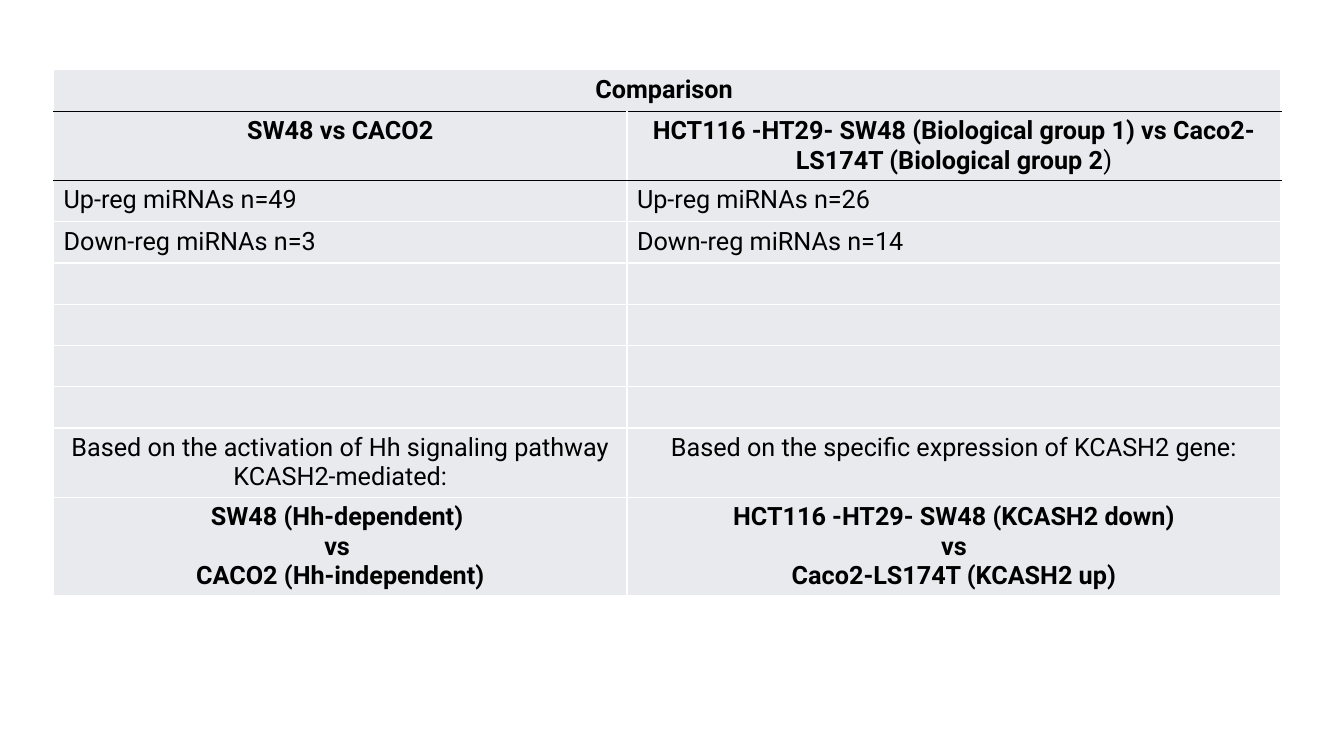
import pptx
import pptx.dml.color
import pptx.enum.text
import pptx.oxml
import pptx.oxml.ns
import pptx.util
from pptx.util import Cm

FONT = "Roboto"
COLUMNS = (14.45, 16.48)
ROW_HEIGHT = 1.04
ROWS = [
    ("Comparison ", ""),
    ("SW48 vs CACO2",
     "HCT116 -HT29- SW48 (Biological group 1) vs Caco2-LS174T (Biological group 2)"),
    ("Up-reg miRNAs n=49", "Up-reg miRNAs n=26"),
    ("Down-reg miRNAs n=3", "Down-reg miRNAs n=14"),
    *[("", "")] * 4,
    ("Based on the activation of Hh signaling pathway KCASH2-mediated:",
     "Based on the specific expression of KCASH2 gene:"),
    ("SW48 (Hh-dependent) \nvs \nCACO2 (Hh-independent)",
     "HCT116 -HT29- SW48 (KCASH2 down)\nvs\nCaco2-LS174T (KCASH2 up)"),
]
BOLD_ROWS = (0, 1, 9)
CENTRED_ROWS = (0, 1, 8, 9)
RULED_ROWS = (0, 1)


def rgb(value):
    """Return the colour for a hex string."""
    return pptx.dml.color.RGBColor.from_string(value)


def set_border(cell, side, colour):
    """Draw a one-point line on one side (L, R, T or B) of a cell."""
    ns = pptx.oxml.ns.nsdecls("a")
    line = pptx.oxml.parse_xml(
        f'<a:ln{side} {ns} w="12700"><a:solidFill>'
        f'<a:srgbClr val="{colour}"/></a:solidFill></a:ln{side}>')
    cell._tc.get_or_add_tcPr().append(line)


def style_run(r, bold):
    """Give a run the table's font."""
    r.font.name = FONT
    r.font.size = pptx.util.Pt(18)
    r.font.bold = bold
    r.font.color.rgb = rgb("000000")


def fill_cell(cell, text, row):
    """Write and format one cell according to its row."""
    for side in "LRTB":
        ruled = (side == "B" and row in RULED_ROWS
                 or side == "T" and row - 1 in RULED_ROWS)
        set_border(cell, side, "000000" if ruled else "FFFFFF")
    cell.fill.solid()
    cell.fill.fore_color.rgb = rgb("E8EAED")
    tf = cell.text_frame
    tf.text = text
    for p in tf.paragraphs:
        if row in CENTRED_ROWS:
            p.alignment = pptx.enum.text.PP_ALIGN.CENTER
        for r in p.runs:
            style_run(r, row in BOLD_ROWS)


def indent_line(p, width):
    """Shift a centred line left by half the given width."""
    p._p.get_or_add_pPr().set("indent", str(-Cm(width)))


def add_comparison(s, left, top):
    """Place the comparison table with its corner at the given point."""
    table = s.shapes.add_table(
        len(ROWS), len(COLUMNS), Cm(left), Cm(top),
        Cm(sum(COLUMNS)), Cm(ROW_HEIGHT * len(ROWS))).table
    table.first_row = False
    table.horz_banding = False
    for column, width in zip(table.columns, COLUMNS):
        column.width = Cm(width)
    for i, texts in enumerate(ROWS):
        table.rows[i].height = Cm(ROW_HEIGHT)
        for j, text in enumerate(texts):
            fill_cell(table.cell(i, j), text, i)
    table.cell(0, 0).merge(table.cell(0, 1))

    p = table.cell(1, 1).text_frame.paragraphs[0]
    p.runs[0].text = ROWS[1][1][:-1]
    r = p.add_run()
    r.text = ")"
    style_run(r, False)

    groups = table.cell(9, 1).text_frame.paragraphs
    indent_line(groups[0], 1.1)
    indent_line(groups[1], 1.92)


def main():
    """Build the slide and save it."""
    prs = pptx.Presentation()
    prs.slide_width, prs.slide_height = Cm(33.87), Cm(19.05)
    s = prs.slides.add_slide(prs.slide_layouts[6])
    add_comparison(s, 1.35, 1.76)
    prs.save("out.pptx")


if __name__ == "__main__":
    main()
